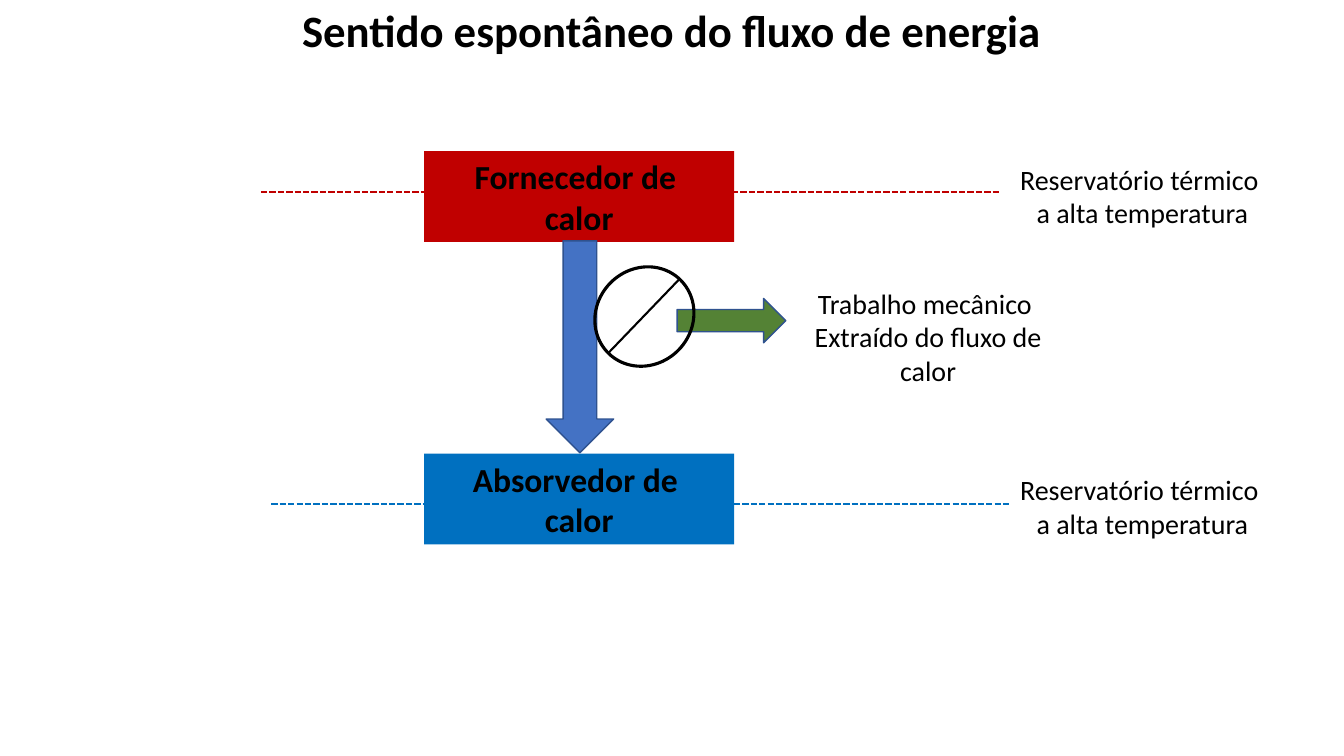
from lxml.etree import SubElement
from pptx import Presentation
from pptx.dml.color import RGBColor
from pptx.enum.dml import MSO_LINE
from pptx.enum.shapes import MSO_CONNECTOR, MSO_SHAPE
from pptx.enum.text import MSO_ANCHOR, MSO_AUTO_SIZE, PP_ALIGN
from pptx.oxml.ns import qn
from pptx.util import Cm, Pt

COLOURS = {
    "hot": "C00000",
    "cold": "0070C0",
    "heat": "4472C4",
    "work": "548235",
    "arrow_edge": "2F528F",
    "ink": "000000",
}


def colour(name):
    return RGBColor.from_string(COLOURS[name])


def write(frame, paragraphs, size=20, bold=False, wrap=True, anchor=MSO_ANCHOR.TOP):
    frame.word_wrap = wrap
    frame.auto_size = MSO_AUTO_SIZE.NONE
    frame.vertical_anchor = anchor
    for index, text in enumerate(paragraphs):
        paragraph = frame.add_paragraph() if index else frame.paragraphs[0]
        paragraph.alignment = PP_ALIGN.CENTER
        run = paragraph.add_run()
        run.text = text
        run.font.name = "Calibri"
        run.font.size = Pt(size)
        run.font.bold = bold
        run.font.color.rgb = colour("ink")


def add_title(slide, text):
    title = slide.shapes.title
    title.left, title.top, title.width, title.height = Cm(6.45), Cm(-0.05), Cm(20.96), Cm(1.63)
    write(title.text_frame, [text], size=32, bold=True)


def add_figure(shapes, preset, box, fill=None, edge=None, edge_width=1):
    figure = shapes.add_shape(preset, *map(Cm, box))
    figure.shadow.inherit = False
    if fill:
        figure.fill.solid()
        figure.fill.fore_color.rgb = colour(fill)
    else:
        figure.fill.background()
    if edge:
        figure.line.color.rgb = colour(edge)
        figure.line.width = Pt(edge_width)
    else:
        figure.line.fill.background()
    return figure


def add_line(shapes, start, end, ink, dash=None):
    line = shapes.add_connector(MSO_CONNECTOR.STRAIGHT, *map(Cm, start + end))
    line.line.color.rgb = colour(ink)
    line.line.width = Pt(1.5)
    if dash:
        line.line.dash_style = dash
    SubElement(line._element.spPr, qn("a:effectLst"))


def add_label(slide, box, paragraphs, wrap=True):
    label = slide.shapes.add_textbox(*map(Cm, box))
    write(label.text_frame, paragraphs, wrap=wrap)


def add_reservoir(slide, name, fill, top, level, level_left, label_top):
    """Draw a heat reservoir with its temperature level and label."""
    add_line(slide.shapes, (level_left, level), (level_left + 18.63, level), fill,
             dash=MSO_LINE.SQUARE_DOT)
    body = add_figure(slide.shapes, MSO_SHAPE.RECTANGLE, (10.69, top, 7.82, 2.29), fill)
    write(body.text_frame, [name, "calor"], size=24, bold=True, anchor=MSO_ANCHOR.MIDDLE)
    add_label(slide, (25.45, label_top, 6.7, 1.96),
              ["Reservatório térmico ", "a alta temperatura"], wrap=False)


def add_turbine(slide):
    turbine = slide.shapes.add_group_shape()
    wheel = add_figure(turbine.shapes, MSO_SHAPE.FLOWCHART_CONNECTOR,
                       (15.04, 6.68, 2.41, 2.59), edge="ink", edge_width=2.25)
    wheel.rotation = 223.9
    add_line(turbine.shapes, (17.12, 7.04), (15.34, 8.89), "ink")


def main():
    presentation = Presentation()
    presentation.slide_width, presentation.slide_height = Cm(33.88), Cm(19.05)
    slide = presentation.slides.add_slide(presentation.slide_layouts[5])

    add_title(slide, "Sentido espontâneo do fluxo de energia")
    add_reservoir(slide, "Fornecedor de ", "hot", top=3.81, level=4.85,
                  level_left=6.58, label_top=3.96)
    add_reservoir(slide, "Absorvedor de ", "cold", top=11.43, level=12.7,
                  level_left=6.84, label_top=11.79)
    add_figure(slide.shapes, MSO_SHAPE.DOWN_ARROW, (13.77, 6.07, 1.7, 5.34),
               "heat", "arrow_edge")
    add_figure(slide.shapes, MSO_SHAPE.RIGHT_ARROW, (17.07, 7.52, 2.74, 1.12),
               "work", "arrow_edge")
    add_turbine(slide)
    add_label(slide, (20.12, 7.09, 6.55, 2.79),
              ["Trabalho mecânico ", "Extraído do fluxo de calor"])

    presentation.save("out.pptx")


if __name__ == "__main__":
    main()
